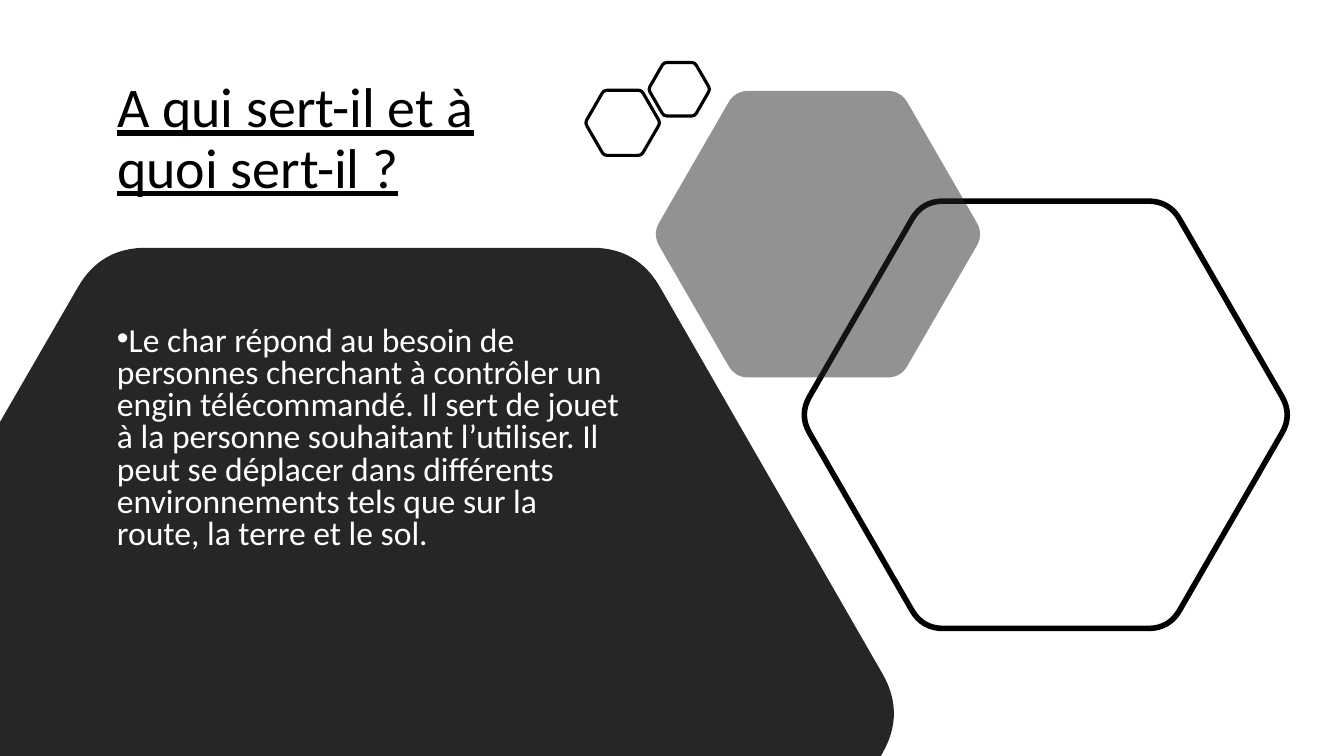
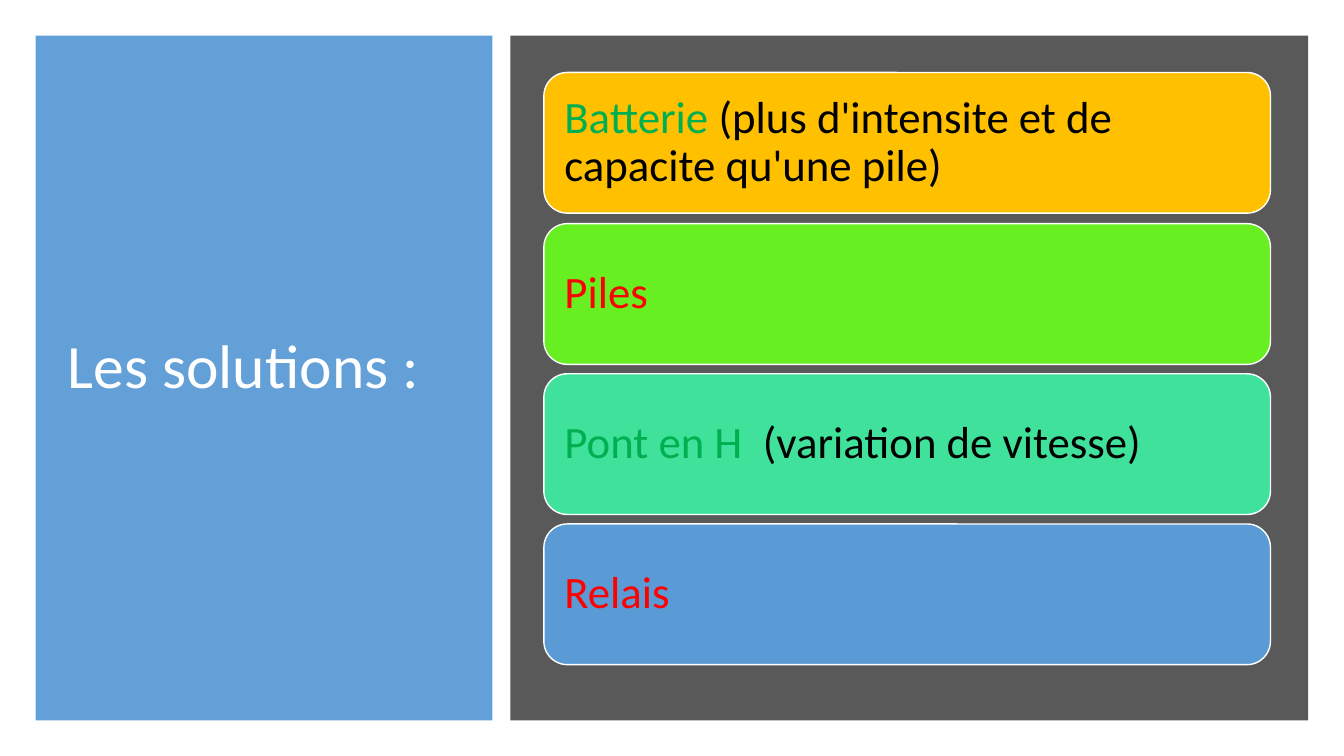
import math
from lxml import etree
from pptx import Presentation
from pptx import util as u
from pptx.dml.color import RGBColor
from pptx.enum import shapes, text
from pptx.oxml import ns

PX = 9525
FONT = "Calibri"
C = {
    "black": "000000", "white": "FFFFFF", "dark": "262626", "grey": "595959",
    "blue": "5B9BD5", "amber": "FFC000", "lime": "67EF21", "mint": "3FE19B",
    "green": "00B050", "red": "FF0000",
}


def outline(s, corners, cuts):
    pts, bends = [], []
    for i, (x, y) in enumerate(corners):
        if not cuts[i]:
            pts.append((x * PX, y * PX))
            continue
        ends = []
        for nx, ny in (corners[i - 1], corners[(i + 1) % len(corners)]):
            k = cuts[i] / math.dist((x, y), (nx, ny))
            ends.append(((x + (nx - x) * k) * PX, (y + (ny - y) * k) * PX))
        (ax, ay), (bx, by) = ends
        middle = ((ax + bx + 2 * x * PX) / 4, (ay + by + 2 * y * PX) / 4)
        bends.append(len(pts) + 1)
        pts += [(ax, ay), middle, (bx, by)]
    fb = s.shapes.build_freeform(*pts[0], scale=1.0)
    fb.add_line_segments(pts[1:], close=True)
    sp = fb.convert_to_shape()
    steps = list(sp.element.find(".//" + ns.qn("a:path")))
    for i in bends:
        start, peak, end = (step[0] for step in steps[i - 1:i + 2])
        for axis in ("x", "y"):
            a, m, b = (int(pt.get(axis)) for pt in (start, peak, end))
            peak.set(axis, str(2 * m - (a + b) // 2))
        curve = etree.Element(ns.qn("a:quadBezTo"))
        steps[i].addprevious(curve)
        curve.extend([peak, end])
        for step in steps[i:i + 2]:
            step.getparent().remove(step)
    return sp


def write(sp, runs, size, spacing, anchor, underline=False):
    tf = sp.text_frame
    frame = {"word_wrap": True, "auto_size": text.MSO_AUTO_SIZE.NONE, "vertical_anchor": anchor}
    for name, value in frame.items():
        setattr(tf, name, value)
    p = tf.paragraphs[0]
    p.alignment = text.PP_ALIGN.LEFT
    p.line_spacing = spacing
    for words, colour in runs:
        r = p.add_run()
        r.text = words
        for name, value in {"name": FONT, "size": u.Pt(size), "underline": underline}.items():
            setattr(r.font, name, value)
        r.font.color.rgb = RGBColor.from_string(C[colour])
    return p


prs = Presentation()
prs.slide_width, prs.slide_height = 1280 * PX, 720 * PX
MIDDLE, TOP = text.MSO_ANCHOR.MIDDLE, text.MSO_ANCHOR.TOP
titles = [
    ("A qui sert-il et à quoi sert-il ?", (102, 47, 449, 172), 40, "black", True),
    ("Les solutions :", (55, 61, 391, 580), 44, "white", False),
]
slides = []
for words, box, size, colour, underline in titles:
    s = prs.slides.add_slide(prs.slide_layouts[5])
    sp = s.shapes.title
    for name, value in zip(("left", "top", "width", "height"), box):
        setattr(sp, name, value * PX)
    write(sp, [(words, colour)], size, 0.9, MIDDLE, underline)
    slides.append(s)
usage, solutions = slides
painted = []

hexagons = [
    (996, 395, 407, 20, None, "black", 4, 100),
    (779, 223, 273, 13, "dark", None, 0, 50),
    (593, 117, 62, 3, None, "black", 2.25, 100),
    (647, 85, 51, 3, None, "black", 2.25, 100),
]
for cx, cy, height, cut, *look in hexagons:
    radius = height / math.sqrt(3)
    angles = [math.radians(60 * n) for n in range(6)]
    corners = [(cx + radius * math.cos(a), cy + radius * math.sin(a)) for a in angles]
    painted.append((outline(usage, corners, [cut] * 6), *look))

corners = [(96, 236), (607, 236), (862, 679), (839, 720), (0, 720), (0, 402)]
panel = outline(usage, corners, [43, 43, 43, 0, 0, 0])
painted.append((panel, "dark", None, 0, 100))

body = usage.shapes.add_textbox(102 * PX, 306 * PX, 498 * PX, 244 * PX)
words = (
    "Le char répond au besoin de personnes cherchant à contrôler un engin télécommandé. "
    "Il sert de jouet à la personne souhaitant l’utiliser. Il peut se déplacer dans "
    "différents environnements tels que sur la route, la terre et le sol."
)
p = write(body, [(words, "white")], 24, 0.8, TOP)
body.text_frame.margin_right = 5 * PX
p.space_after = u.Pt(6)
pPr = p._p.get_or_add_pPr()
for name, value in {"marL": "0", "indent": "-228600"}.items():
    pPr.set(name, value)
for tag, name, value in (("a:buFont", "typeface", "Arial"), ("a:buChar", "char", "•")):
    etree.SubElement(pPr, ns.qn(tag)).set(name, value)

RECT, ROUND = shapes.MSO_SHAPE.RECTANGLE, shapes.MSO_SHAPE.ROUNDED_RECTANGLE
for x, width, colour, alpha in ((34, 435, "blue", 95), (486, 760, "grey", 100)):
    sp = solutions.shapes.add_shape(RECT, x * PX, 34 * PX, width * PX, 652 * PX)
    painted.append((sp, colour, None, 0, alpha))
sp.element.addprevious(solutions.shapes.title.element)

cards = [
    ("amber", [("Batterie ", "green"), ("(plus d'intensite et de capacite qu'une pile)", "black")]),
    ("lime", [("Piles", "red")]),
    ("mint", [("Pont en H  ", "green"), ("(variation de vitesse)", "black")]),
    ("blue", [("Relais", "red")]),
]
for i, (colour, runs) in enumerate(cards):
    y = 69 + round(i * 143.5)
    sp = solutions.shapes.add_shape(ROUND, 518 * PX, y * PX, 692 * PX, 134 * PX)
    write(sp, runs, 32, 0.9, MIDDLE)
    for side in ("left", "top", "right", "bottom"):
        setattr(sp.text_frame, "margin_" + side, 13 * PX)
    painted.append((sp, colour, "white", 1, 100))

for sp, fill, line, width, alpha in painted:
    sp.shadow.inherit = False
    for part, colour in ((sp.fill, fill), (sp.line.fill, line)):
        if colour:
            part.solid()
            part.fore_color.rgb = RGBColor.from_string(C[colour])
        else:
            part.background()
    if line:
        sp.line.width = u.Pt(width)
    if alpha < 100:
        clr = sp.element.spPr.find(ns.qn("a:solidFill")).find(ns.qn("a:srgbClr"))
        etree.SubElement(clr, ns.qn("a:alpha")).set("val", str(alpha * 1000))

prs.save("out.pptx")
